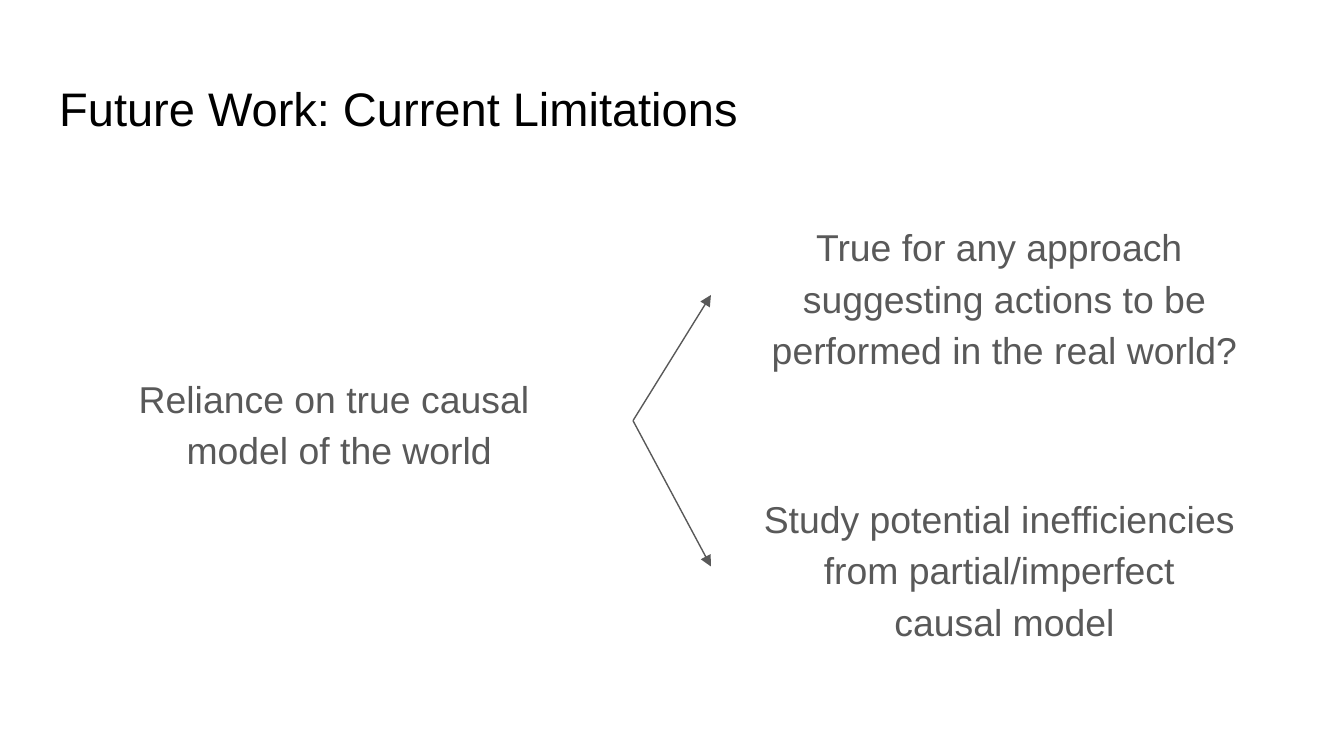
from lxml.etree import SubElement
from pptx import Presentation
from pptx.dml.color import RGBColor
from pptx.enum.shapes import MSO_CONNECTOR
from pptx.enum.text import MSO_ANCHOR, MSO_AUTO_SIZE, PP_ALIGN
from pptx.oxml.ns import qn
from pptx.util import Inches, Pt

COLORS = {"title": "000000", "body": "595959", "background": "FFFFFF"}
FONT = "Arial"
WIDTH = 10
HEIGHT = WIDTH * 9 / 16
MARGIN = 0.34
COLUMN = 4.37
ROW = 1.87
TOP = 1.26
ROW_GAP = 0.15
RIGHT = WIDTH - MARGIN - COLUMN


def set_frame(frame, anchor):
    frame.word_wrap = True
    frame.auto_size = MSO_AUTO_SIZE.NONE
    frame.vertical_anchor = anchor
    frame.margin_left = frame.margin_right = Inches(0.1)
    frame.margin_top = frame.margin_bottom = Inches(0.1)


def add_run(paragraph, text, size, color):
    run = paragraph.add_run()
    run.text = text
    run.font.name = FONT
    run.font.size = Pt(size)
    run.font.color.rgb = RGBColor.from_string(COLORS[color])


deck = Presentation()
deck.slide_width, deck.slide_height = Inches(WIDTH), Inches(HEIGHT)
slide = deck.slides.add_slide(deck.slide_layouts[5])
slide.background.fill.solid()
slide.background.fill.fore_color.rgb = RGBColor.from_string(COLORS["background"])

title = slide.shapes.title
title.left, title.top = Inches(MARGIN), Inches(0.49)
title.width, title.height = Inches(WIDTH - 2 * MARGIN), Inches(0.63)
set_frame(title.text_frame, MSO_ANCHOR.TOP)
heading = title.text_frame.paragraphs[0]
heading.alignment = PP_ALIGN.LEFT
add_run(heading, "Future Work: Current Limitations", 25.2, "title")

statements = [
    (MARGIN, TOP, 2 * ROW, ["Reliance on true causal ", "model of the world"]),
    (RIGHT, TOP, ROW, ["True for any approach ",
                       "suggesting actions to be performed in the real world?"]),
    (RIGHT, TOP + ROW + ROW_GAP, ROW, ["Study potential inefficiencies ",
                                       "from partial/imperfect ", "causal model"]),
]
boxes = []
for left, top, height, lines in statements:
    statement = slide.shapes.add_textbox(
        Inches(left), Inches(top), Inches(COLUMN), Inches(height))
    set_frame(statement.text_frame, MSO_ANCHOR.MIDDLE)
    paragraph = statement.text_frame.paragraphs[0]
    paragraph.alignment = PP_ALIGN.CENTER
    paragraph.line_spacing = 1.15
    paragraph.space_after = Pt(12)
    for index, line in enumerate(lines):
        if index:
            paragraph.add_line_break()
        add_run(paragraph, line, 20, "body")
    boxes.append(statement)

limitation, *responses = boxes
for response in responses:
    arrow = slide.shapes.add_connector(MSO_CONNECTOR.STRAIGHT, 0, 0, 0, 0)
    arrow.begin_connect(limitation, 3)
    arrow.end_connect(response, 1)
    arrow.line.color.rgb = RGBColor.from_string(COLORS["body"])
    arrow.line.width = Pt(0.75)
    SubElement(arrow.line._get_or_add_ln(), qn("a:tailEnd"), type="triangle")
    SubElement(arrow._element.spPr, qn("a:effectLst"))

deck.save("out.pptx")
